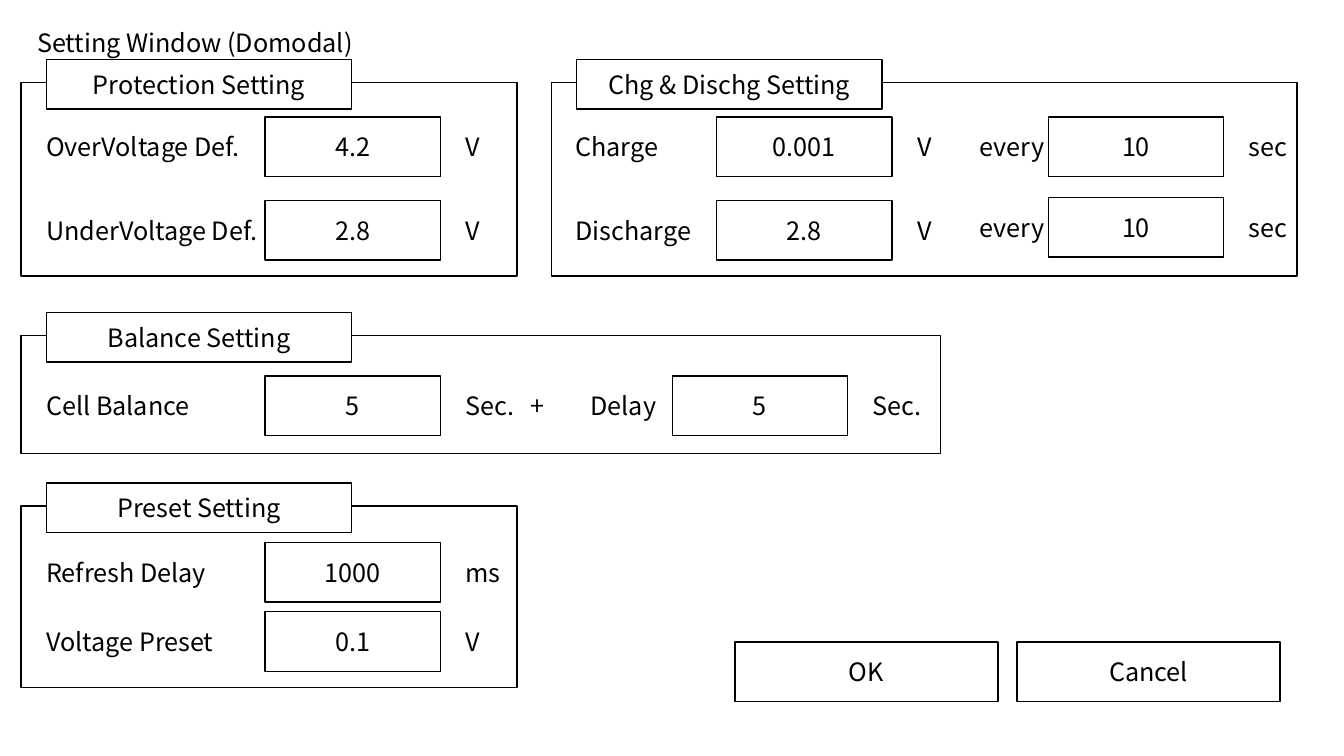
from dataclasses import dataclass

from pptx import Presentation
from pptx.dml.color import RGBColor
from pptx.enum.shapes import MSO_SHAPE as Preset
from pptx.enum.text import MSO_ANCHOR as Anchor, MSO_AUTO_SIZE as AutoSize, PP_ALIGN as Align
from pptx.slide import Slide
from pptx.text.text import TextFrame
from pptx.util import Pt


@dataclass(frozen=True)
class Theme:
    ink: RGBColor = RGBColor(0, 0, 0)
    paper: RGBColor = RGBColor(255, 255, 255)
    font: str = "Noto Sans CJK KR"
    size: float = 18
    line: float = 1


@dataclass(frozen=True)
class Box:
    left: float
    top: float
    width: float
    height: float


@dataclass(frozen=True)
class Group:
    caption: str
    frame: Box


@dataclass(frozen=True)
class Column:
    label_left: float
    input_left: float


@dataclass(frozen=True)
class Field:
    column: Column
    top: float
    label: str
    value: str
    unit: str


THEME = Theme()
INPUT_WIDTH, FIELD_HEIGHT = 125.3, 42.5
TEXT_HEIGHT, TEXT_DROP = 29, 6.8
UNIT_OFFSET, UNIT_WIDTH = 136.1, 62
LABEL_OVERLAP = 14.4
CAPTION_INDENT, CAPTION_RISE = 18, 16.5
CAPTION_WIDTH, CAPTION_HEIGHT = 218.2, 35.3
BUTTON_LEFT, BUTTON_TOP, BUTTON_WIDTH, BUTTON_PITCH = 524.9, 458.6, 187.9, 201.6

MAIN = Column(25.9, 189.4)
DELAY = Column(414.7, 480.2)
CHARGE = Column(403.9, 511.9)
EVERY = Column(692.6, 748.8)

GROUPS = [
    Group("Protection Setting", Box(15.1, 59, 354.2, 138.2)),
    Group("Chg & Dischg Setting", Box(393.8, 59, 532.8, 138.2)),
    Group("Balance Setting", Box(15.1, 239.8, 656.6, 84.2)),
    Group("Preset Setting", Box(15.1, 361.4, 354.2, 129.6)),
]
FIELDS = [
    Field(MAIN, 83.5, "OverVoltage Def.", "4.2", "V"),
    Field(MAIN, 143.3, "UnderVoltage Def.", "2.8", "V"),
    Field(CHARGE, 83.5, "Charge", "0.001", "V"),
    Field(CHARGE, 143.3, "Discharge", "2.8", "V"),
    Field(EVERY, 83.5, "every", "10", "sec"),
    Field(EVERY, 141.1, "every", "10", "sec"),
    Field(MAIN, 268.6, "Cell Balance", "5", "Sec."),
    Field(DELAY, 268.6, "Delay", "5", "Sec."),
    Field(MAIN, 387.4, "Refresh Delay", "1000", "ms"),
    Field(MAIN, 437, "Voltage Preset", "0.1", "V"),
]


def lengths(box: Box) -> list[Pt]:
    return [Pt(value) for value in (box.left, box.top, box.width, box.height)]


def write(frame: TextFrame, text: str, align: Align, anchor: Anchor, wrap: bool = True) -> None:
    frame.text = text
    frame.word_wrap = wrap
    frame.vertical_anchor = anchor
    paragraph = frame.paragraphs[0]
    paragraph.alignment = align
    paragraph.font.name = THEME.font
    paragraph.font.size = Pt(THEME.size)
    paragraph.font.color.rgb = THEME.ink


def add_title(slide: Slide, text: str, box: Box) -> None:
    title = slide.shapes.title
    title.left, title.top, title.width, title.height = lengths(box)
    write(title.text_frame, text, Align.LEFT, Anchor.TOP, wrap=False)
    title.text_frame.auto_size = AutoSize.SHAPE_TO_FIT_TEXT


def add_rectangle(slide: Slide, box: Box, text: str = "") -> None:
    shape = slide.shapes.add_shape(Preset.RECTANGLE, *lengths(box))
    shape.shadow.inherit = False
    shape.line.color.rgb = THEME.ink
    shape.line.width = Pt(THEME.line)
    if text:
        shape.fill.solid()
        shape.fill.fore_color.rgb = THEME.paper
        write(shape.text_frame, text, Align.CENTER, Anchor.MIDDLE)
    else:
        shape.fill.background()


def add_label(slide: Slide, left: float, field_top: float, width: float, text: str) -> None:
    box = Box(left, field_top + TEXT_DROP, width, TEXT_HEIGHT)
    label = slide.shapes.add_textbox(*lengths(box))
    write(label.text_frame, text, Align.LEFT, Anchor.TOP)
    label.text_frame.auto_size = AutoSize.SHAPE_TO_FIT_TEXT


def add_group(slide: Slide, group: Group) -> None:
    frame = group.frame
    add_rectangle(slide, frame)
    caption = Box(frame.left + CAPTION_INDENT, frame.top - CAPTION_RISE, CAPTION_WIDTH, CAPTION_HEIGHT)
    add_rectangle(slide, caption, group.caption)


def add_field(slide: Slide, field: Field) -> None:
    column = field.column
    label_width = column.input_left - column.label_left + LABEL_OVERLAP
    add_rectangle(slide, Box(column.input_left, field.top, INPUT_WIDTH, FIELD_HEIGHT), field.value)
    add_label(slide, column.label_left, field.top, label_width, field.label)
    add_label(slide, column.input_left + UNIT_OFFSET, field.top, UNIT_WIDTH, field.unit)


presentation = Presentation()
presentation.slide_width, presentation.slide_height = Pt(960), Pt(540)
slide = presentation.slides.add_slide(presentation.slide_layouts[5])

add_title(slide, "Setting Window (Domodal)", Box(19.4, 15.8, 246.2, TEXT_HEIGHT))
for group in GROUPS:
    add_group(slide, group)
for field in FIELDS:
    add_field(slide, field)
add_label(slide, 372, 268.6, 30, "+")
for index, caption in enumerate(["OK", "Cancel"]):
    left = BUTTON_LEFT + index * BUTTON_PITCH
    add_rectangle(slide, Box(left, BUTTON_TOP, BUTTON_WIDTH, FIELD_HEIGHT), caption)

presentation.save("out.pptx")
